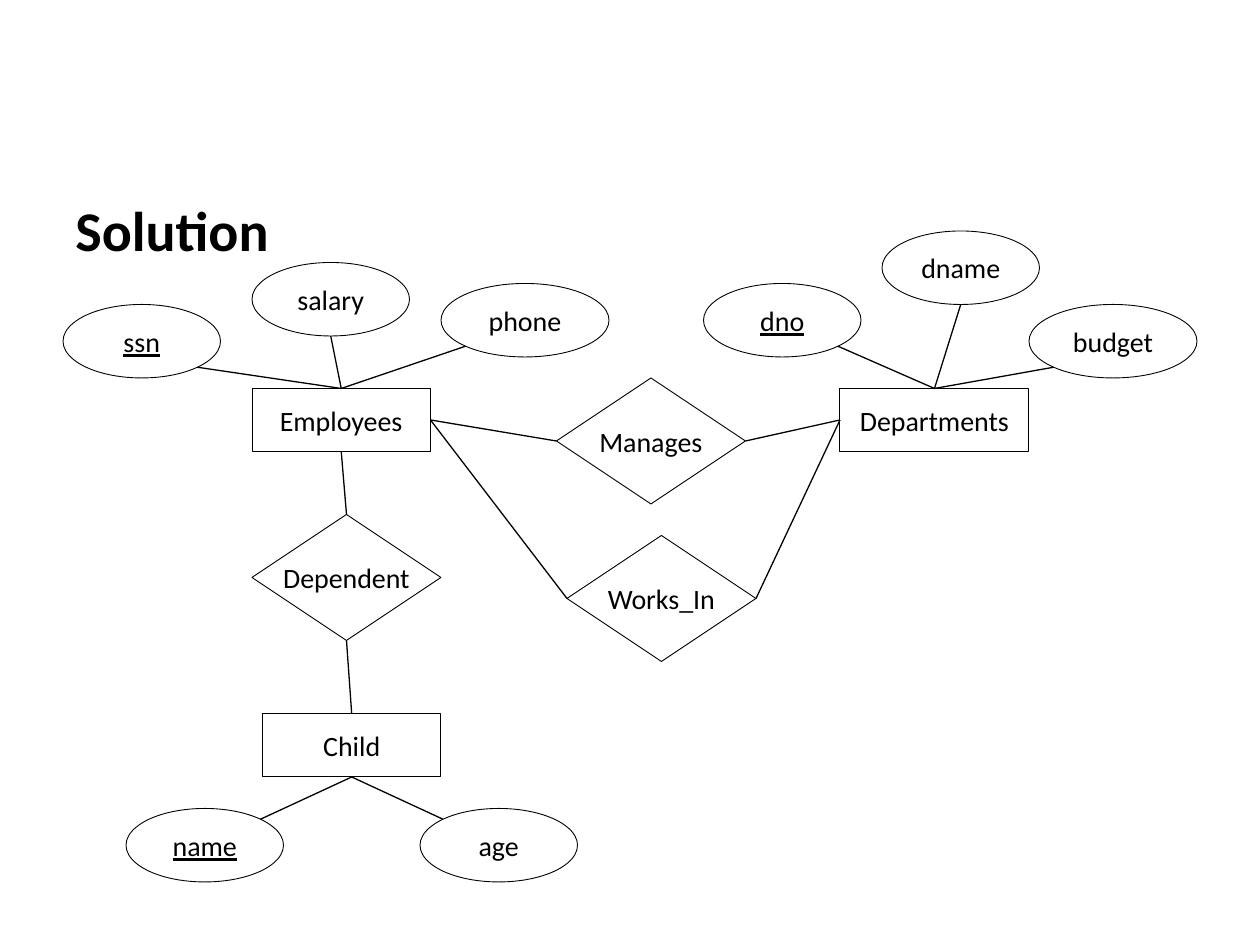
from math import sqrt

from pptx import Presentation
from pptx.dml.color import RGBColor
from pptx.enum import shapes, text
from pptx.oxml.ns import qn
from pptx.util import Pt

BLACK = RGBColor(0, 0, 0)
WHITE = RGBColor(255, 255, 255)
FONT = "Calibri"
TOP, LEFT, BOTTOM, RIGHT = range(4)  # connection sites of boxes and diamonds


def style_text(frame, size, bold=False, underline=False):
    font = frame.paragraphs[0].runs[0].font
    font.name, font.size, font.color.rgb = FONT, Pt(size), BLACK
    font.bold, font.underline = bold, underline


def add_title(slide, title):
    heading = slide.shapes.add_textbox(Pt(36), Pt(108), Pt(648), Pt(402))
    frame = heading.text_frame
    frame.word_wrap = True
    frame.text = title
    frame.paragraphs[0].space_before = Pt(2)
    style_text(frame, 32, bold=True)


def add_node(slide, kind, label, x, y, width, height, key=False):
    node = slide.shapes.add_shape(kind, Pt(x), Pt(y), Pt(width), Pt(height))
    node.shadow.inherit = False
    node.fill.solid()
    node.fill.fore_color.rgb = WHITE
    node.line.color.rgb = BLACK
    node.line.width = Pt(0.5)
    frame = node.text_frame
    frame.text = label
    frame.vertical_anchor = text.MSO_ANCHOR.MIDDLE
    frame.paragraphs[0].alignment = text.PP_ALIGN.CENTER
    style_text(frame, 16, underline=key)
    return node


def add_entity(slide, label, x, y, width):
    return add_node(slide, shapes.MSO_SHAPE.RECTANGLE, label, x, y, width, 36)


def add_attribute(slide, label, x, y, width=90, key=False):
    return add_node(slide, shapes.MSO_SHAPE.OVAL, label, x, y, width, 42, key)


def add_relationship(slide, label, x, y):
    diamond = add_node(slide, shapes.MSO_SHAPE.DIAMOND, label, x, y, 108, 72)
    frame = diamond.text_frame
    frame.word_wrap = False
    frame.margin_left = frame.margin_right = Pt(0)
    frame.margin_top = frame.margin_bottom = Pt(0)
    return diamond


def add_line(slide, x=0, y=0):
    line = slide.shapes.add_connector(shapes.MSO_CONNECTOR.STRAIGHT, x, y, x, y)
    line.line.color.rgb = BLACK
    line.line.width = Pt(0.75)
    properties = line._element.spPr
    properties.append(properties.makeelement(qn("a:effectLst"), {}))
    return line


def link(slide, start, start_site, end, end_site):
    line = add_line(slide)
    line.begin_connect(start, start_site)
    line.end_connect(end, end_site)


def link_attribute(slide, oval, across, down, entity, site):
    """Start on the oval's rim, in the direction (across, down) from its centre."""
    reach = 2 * sqrt(across ** 2 + down ** 2)
    x = oval.left + oval.width / 2 + oval.width * across / reach
    y = oval.top + oval.height / 2 + oval.height * down / reach
    add_line(slide, round(x), round(y)).end_connect(entity, site)


def main():
    deck = Presentation()
    deck.slide_width, deck.slide_height = Pt(720), Pt(540)
    slide = deck.slides.add_slide(deck.slide_layouts[6])
    add_title(slide, "Solution")

    # Entities
    departments = add_entity(slide, "Departments", 480, 222, 108)
    child = add_entity(slide, "Child", 150, 408, 102)
    employees = add_entity(slide, "Employees", 144, 222, 102)

    # Attributes, each with its line to the entity
    attributes = [
        # label, x, y, width, key, direction of the line, entity, site
        ("name", 72, 462, 90, True, (1, -1), child, BOTTOM),
        ("age", 240, 462, 90, False, (-1, -1), child, BOTTOM),
        ("ssn", 36, 174, 90, True, (1, 1), employees, TOP),
        ("salary", 144, 150, 90, False, (0, 1), employees, TOP),
        ("phone", 252, 162, 96, False, (-1, 1), employees, TOP),
        ("dno", 402, 162, 90, True, (1, 1), departments, TOP),
        ("dname", 504, 132, 90, False, (0, 1), departments, TOP),
        ("budget", 588, 174, 96, False, (-1, 1), departments, TOP),
    ]
    for label, x, y, width, key, (across, down), entity, site in attributes:
        oval = add_attribute(slide, label, x, y, width, key)
        link_attribute(slide, oval, across, down, entity, site)

    # Relationships between employees and departments
    for label, x, y in [("Manages", 318, 216), ("Works_In", 324, 306)]:
        diamond = add_relationship(slide, label, x, y)
        link(slide, employees, RIGHT, diamond, LEFT)
        link(slide, diamond, RIGHT, departments, LEFT)

    # Relationship between employees and child
    dependent = add_relationship(slide, "Dependent", 144, 294)
    link(slide, employees, BOTTOM, dependent, TOP)
    link(slide, dependent, BOTTOM, child, TOP)

    deck.save("out.pptx")


if __name__ == "__main__":
    main()
